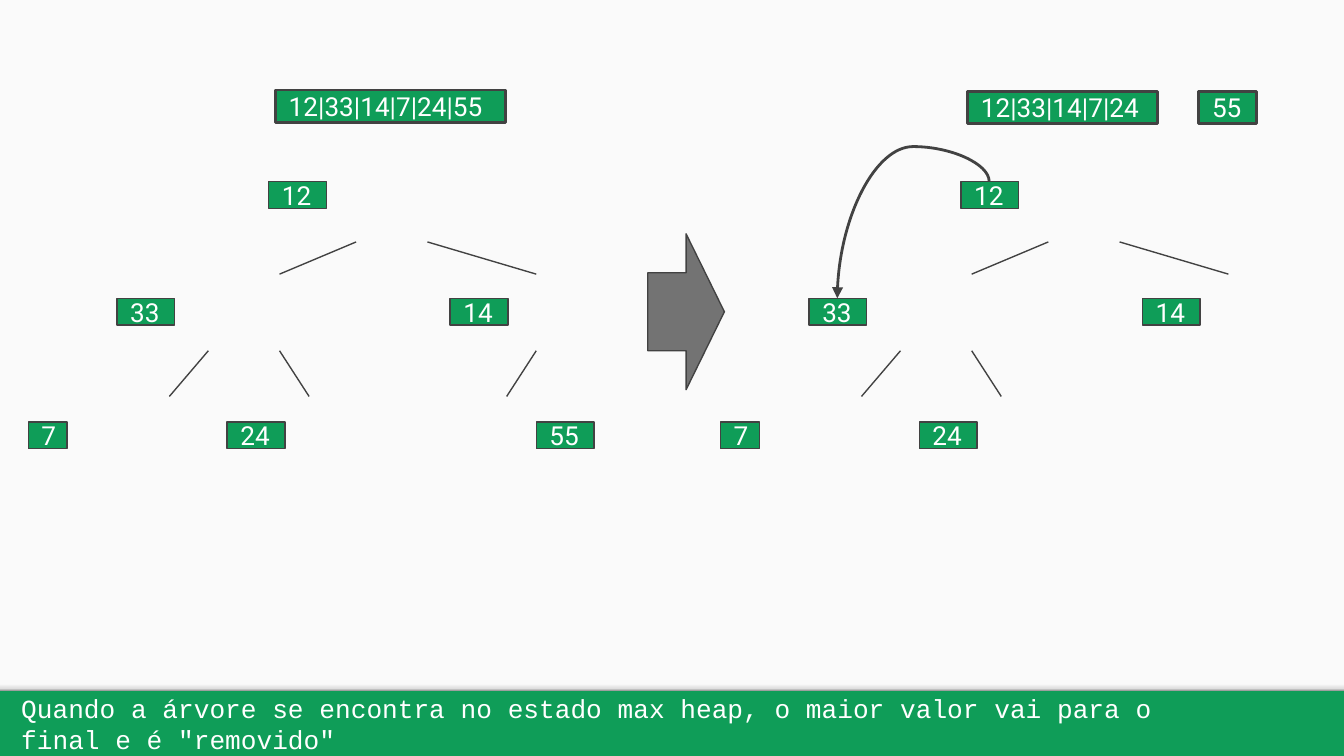
"""Build a slide that shows the largest value leaving a max heap."""
from lxml import etree
from pptx import Presentation
from pptx import util as u
from pptx.dml import color
from pptx.enum import shapes, text
from pptx.oxml import ns

HUES = {
    "green": "0F9D58",
    "paper": "FAFAFA",
    "edge": "424242",
    "arrow": "737373",
    "white": "FFFFFF",
}
SHADE = [(0, "F9F9F9"), (36, "F9F9F9"), (80, "DEDEDE"), (100, "999999")]
SHIFT = 5.15
NODES = [
    ("12", 2.0, 1.35, 0.43),
    ("33", 0.87, 2.22, 0.43),
    ("14", 3.35, 2.22, 0.43),
    ("7", 0.21, 3.14, 0.29),
    ("24", 1.69, 3.14, 0.43),
]
LAST = ("55", 3.99, 3.14, 0.43)
LINKS = [
    (2.65, 1.8, 2.08, 2.04),
    (3.18, 1.8, 3.99, 2.04),
    (1.55, 2.61, 1.26, 2.95),
    (2.08, 2.61, 2.3, 2.95),
]
LAST_LINK = (3.99, 2.61, 3.77, 2.95)


def rgb(name):
    return color.RGBColor.from_string(HUES[name])


def inches(*nums):
    return [u.Inches(num) for num in nums]


def sub(parent, tag, **attrs):
    return etree.SubElement(parent, ns.qn(tag), attrs)


def write(shape, words, font):
    frame = shape.text_frame
    frame.word_wrap = True
    frame.vertical_anchor = text.MSO_ANCHOR.MIDDLE
    frame.margin_left = frame.margin_right = u.Inches(0.1)
    frame.margin_top = frame.margin_bottom = u.Inches(0.1)
    para = frame.paragraphs[0]
    para.alignment = text.PP_ALIGN.LEFT
    run = para.add_run()
    run.text = words
    run.font.name = font
    run.font.size = u.Pt(14)
    run.font.color.rgb = rgb("white")


def add_form(slide, kind, place, fill, width=0):
    form = slide.shapes.add_shape(kind, *inches(*place))
    form.shadow.inherit = False
    form.fill.solid()
    form.fill.fore_color.rgb = rgb(fill)
    if width:
        form.line.color.rgb = rgb("edge")
        form.line.width = u.Pt(width)
    else:
        form.line.fill.background()
    return form


def add_box(slide, words, place, width=0.75):
    box = add_form(slide, shapes.MSO_SHAPE.RECTANGLE, place, "green", width)
    write(box, words, "Roboto")


def add_link(slide, kind, ends, width=0.75):
    link = slide.shapes.add_connector(kind, *inches(*ends))
    link.line.color.rgb = rgb("edge")
    link.line.width = u.Pt(width)
    sub(link._element.spPr, "a:effectLst")
    return link


def add_curve(slide):
    ends = (6.36, 1.22, 7.23, 2.35)
    curve = add_link(slide, shapes.MSO_CONNECTOR.CURVE, ends, 1.5)
    props = curve._element.spPr
    props.find(ns.qn("a:xfrm")).set("rot", "5400000")
    guides = props.find(ns.qn("a:prstGeom")).get_or_add_avLst()
    sub(guides, "a:gd", name="adj1", fmla="val -29800")
    sub(curve.line._get_or_add_ln(), "a:tailEnd", type="triangle")


def add_tree(slide, shift, nodes, links):
    for x1, y1, x2, y2 in links:
        ends = (x1 + shift, y1, x2 + shift, y2)
        add_link(slide, shapes.MSO_CONNECTOR.STRAIGHT, ends)
    for words, left, top, width in nodes:
        add_box(slide, words, (left + shift, top, width, 0.2))


def add_ground(slide):
    back = slide.background.fill
    back.solid()
    back.fore_color.rgb = rgb("green")
    rect = shapes.MSO_SHAPE.RECTANGLE
    add_form(slide, rect, (0, 0, 10, 5.14), "paper")
    strip = add_form(slide, rect, (0, 5.06, 10, 0.08), "paper")
    strip.fill.gradient()
    strip.fill.gradient_angle = 270
    stops = strip._element.spPr.find(".//" + ns.qn("a:gsLst"))
    for stop in list(stops):
        stops.remove(stop)
    for part, hue in SHADE:
        stop = sub(stops, "a:gs", pos=str(part * 1000))
        sub(stop, "a:srgbClr", val=hue)


def add_note(slide, words):
    note = slide.shapes.add_textbox(*inches(0.06, 5.14, 9.17, 0.49))
    write(note, words, "Courier New")


def main():
    deck = Presentation()
    deck.slide_width = u.Inches(10)
    deck.slide_height = u.Inches(10) * 9 // 16
    slide = deck.slides.add_slide(deck.slide_layouts[6])
    add_ground(slide)
    add_note(slide, "Quando a árvore se encontra no estado max heap, "
                    "o maior valor vai para o final e é \"removido\"")
    add_tree(slide, 0, NODES + [LAST], LINKS + [LAST_LINK])
    add_tree(slide, SHIFT, NODES, LINKS)
    add_box(slide, "12|33|14|7|24|55", (2.05, 0.67, 1.71, 0.24), 1.5)
    add_box(slide, "12|33|14|7|24", (7.2, 0.68, 1.41, 0.24), 1.5)
    add_box(slide, "55", (8.92, 0.68, 0.43, 0.24), 1.5)
    place = (4.82, 1.74, 0.57, 1.16)
    add_form(slide, shapes.MSO_SHAPE.RIGHT_ARROW, place, "arrow", 0.75)
    add_curve(slide)
    deck.save("out.pptx")


if __name__ == "__main__":
    main()
